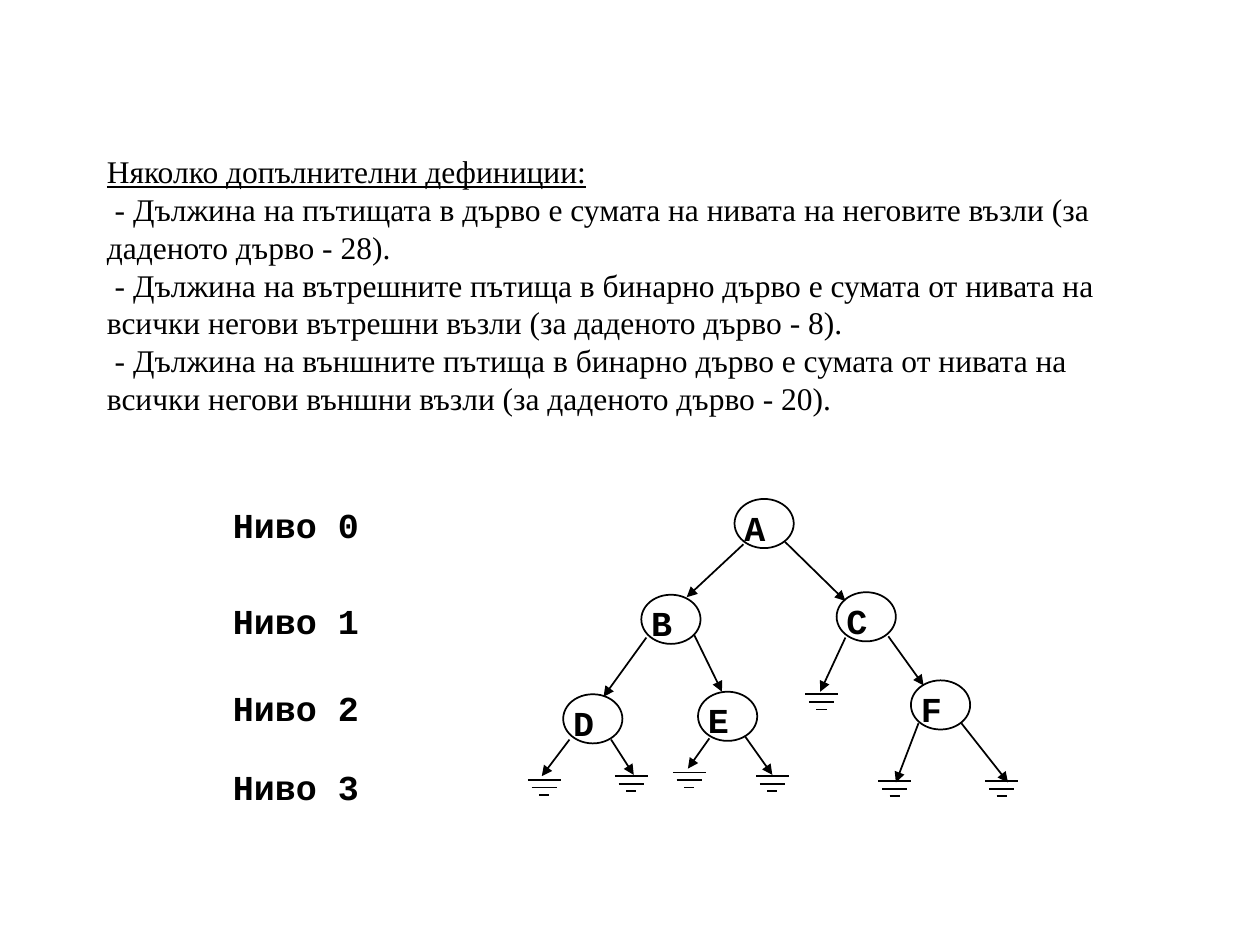
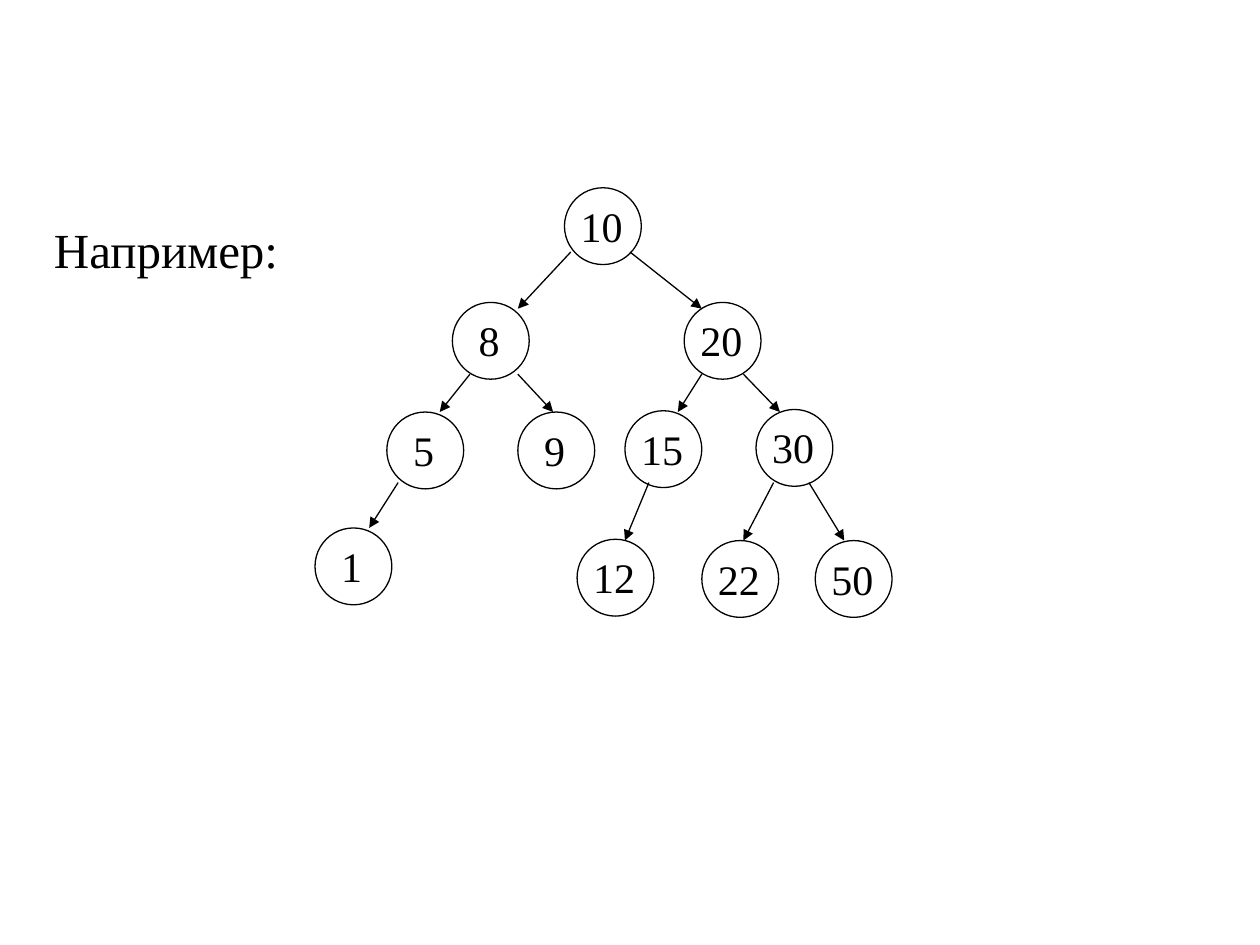
"""Builds two slides on binary trees: path lengths and a search tree."""
from pptx import Presentation
from pptx.dml.color import RGBColor
from pptx.enum.shapes import MSO_CONNECTOR, MSO_SHAPE
from pptx.oxml.ns import qn
from pptx.util import Inches, Pt
from lxml.etree import SubElement

INK = RGBColor(0x00, 0x00, 0x00)
PAPER = RGBColor(0xFF, 0xFF, 0xFF)
SERIF = "Times New Roman"
MONO = "Courier New"
LEADING = {SERIF: 1.2, MONO: 1.3}

DEFINITIONS = [
    "Няколко допълнителни дефиниции:",
    " - Дължина на пътищата в дърво е сумата на нивата на неговите възли (за даденото дърво - 28).",
    " - Дължина на вътрешните пътища в бинарно дърво е сумата от нивата на всички негови вътрешни възли "
    "(за даденото дърво - 8).",
    " - Дължина на външните пътища в бинарно дърво е сумата от нивата на всички негови външни възли "
    "(за даденото дърво - 20).",
]
LEVEL_TOPS = [3.92, 4.68, 5.37, 6.0]
LETTER_NODES = {
    "A": (5.83, 3.96), "B": (5.09, 4.72), "C": (6.64, 4.7),
    "D": (4.47, 5.51), "E": (5.54, 5.49), "F": (7.23, 5.4),
}
LETTER_ARROWS = [
    (5.9, 4.32, 5.45, 4.74), (6.23, 4.3, 6.71, 4.77),
    (5.13, 5.06, 4.79, 5.53), (5.51, 5.04, 5.73, 5.49),
    (6.71, 5.06, 6.51, 5.49), (7.05, 5.05, 7.33, 5.44),
    (4.52, 5.87, 4.3, 6.16), (4.85, 5.87, 5.03, 6.15),
    (5.63, 5.86, 5.46, 6.1), (5.91, 5.84, 6.13, 6.15),
    (7.29, 5.74, 7.11, 6.21), (7.63, 5.74, 8.0, 6.21),
]
EMPTY_LEAVES = [
    (6.52, 5.51), (4.32, 6.19), (5.01, 6.16), (5.47, 6.13),
    (6.13, 6.16), (7.1, 6.2), (7.95, 6.2),
]
LEAF_BAR_WIDTHS = [0.26, 0.2, 0.08]
LEAF_BAR_GAP = 0.06

NUMBER_NODES = {
    "10": (4.48, 1.49), "8": (3.59, 2.4), "20": (5.43, 2.4),
    "5": (3.07, 3.27), "9": (4.11, 3.27), "15": (4.96, 3.26), "30": (6.0, 3.25),
    "1": (2.5, 4.19), "12": (4.58, 4.28), "22": (5.57, 4.29), "50": (6.47, 4.29),
}
NUMBER_ARROWS = [
    (4.53, 2.0, 4.11, 2.45), (5.0, 2.0, 5.57, 2.45),
    (3.73, 2.97, 3.49, 3.27), (4.11, 2.97, 4.39, 3.27),
    (5.57, 2.97, 5.38, 3.27), (5.9, 2.97, 6.19, 3.27),
    (3.16, 3.83, 2.93, 4.19), (5.15, 3.83, 4.96, 4.29),
    (6.14, 3.83, 5.9, 4.29), (6.42, 3.83, 6.7, 4.29),
]


def add_text(slide, lines, left, top, width, height, size, font=SERIF, bold=False):
    """Add a wrapped text box, one paragraph per line, and return its frame."""
    frame = slide.shapes.add_textbox(
        Inches(left), Inches(top), Inches(width), Inches(height)).text_frame
    frame.word_wrap = True
    frame.text = "\n".join(lines)
    for paragraph in frame.paragraphs:
        paragraph.line_spacing = Pt(size * LEADING[font])
        for run in paragraph.runs:
            run.font.name = font
            run.font.size = Pt(size)
            run.font.bold = bold
            run.font.color.rgb = INK
    return frame


def add_node(slide, left, top, width, height, weight, fill=None):
    """Add the ellipse of one tree node."""
    node = slide.shapes.add_shape(
        MSO_SHAPE.OVAL, Inches(left), Inches(top), Inches(width), Inches(height))
    node.shadow.inherit = False
    if fill is None:
        node.fill.background()
    else:
        node.fill.solid()
        node.fill.fore_color.rgb = fill
    node.line.color.rgb = INK
    node.line.width = Pt(weight)


def add_line(slide, x1, y1, x2, y2, weight, arrow=False):
    """Add a straight line, with an arrowhead at its end if asked."""
    line = slide.shapes.add_connector(
        MSO_CONNECTOR.STRAIGHT, Inches(x1), Inches(y1), Inches(x2), Inches(y2))
    line.line.color.rgb = INK
    line.line.width = Pt(weight)
    if arrow:
        SubElement(line.line._get_or_add_ln(), qn("a:tailEnd"), type="triangle")
    SubElement(line._element.spPr, qn("a:effectLst"))


def add_empty_leaf(slide, center, top):
    """Add the three shrinking bars that stand for an empty subtree."""
    for index, width in enumerate(LEAF_BAR_WIDTHS):
        y = top + index * LEAF_BAR_GAP
        add_line(slide, center - width / 2, y, center + width / 2, y, 1)


def build_definitions(slide):
    """Build the definitions and the tree with its levels."""
    definitions = add_text(slide, DEFINITIONS, 0.75, 1.16, 8.5, 2.2, 18)
    definitions.paragraphs[0].runs[0].font.underline = True
    for left, top in LETTER_NODES.values():
        add_node(slide, left, top, 0.47, 0.39, 1)
    for ends in LETTER_ARROWS:
        add_line(slide, *ends, 1, arrow=True)
    for center, top in EMPTY_LEAVES:
        add_empty_leaf(slide, center, top)
    for level, top in enumerate(LEVEL_TOPS):
        add_text(slide, [f"Ниво {level}"], 1.75, top, 1.33, 0.42, 20, MONO, True)
    for letter, (left, top) in LETTER_NODES.items():
        add_text(slide, [letter], left - 0.02, top - 0.02, 0.67, 0.42, 20, MONO, True)


def build_search_tree(slide):
    """Build the example of a binary search tree."""
    add_text(slide, ["Например:"], 0.33, 1.69, 8.92, 0.57, 28)
    for left, top in NUMBER_NODES.values():
        add_node(slide, left, top, 0.61, 0.61, 0.75, PAPER)
    for ends in NUMBER_ARROWS:
        add_line(slide, *ends, 0.75, arrow=True)
    for number, (left, top) in NUMBER_NODES.items():
        inset = 0.11 if len(number) == 1 else 0.03
        add_text(slide, [number], left + inset, top + 0.05, 0.67, 0.5, 24)


def main():
    """Build and save the presentation."""
    deck = Presentation()
    deck.slide_width, deck.slide_height = Inches(10), Inches(7.5)
    for build in (build_definitions, build_search_tree):
        build(deck.slides.add_slide(deck.slide_layouts[6]))
    deck.save("out.pptx")


if __name__ == "__main__":
    main()
